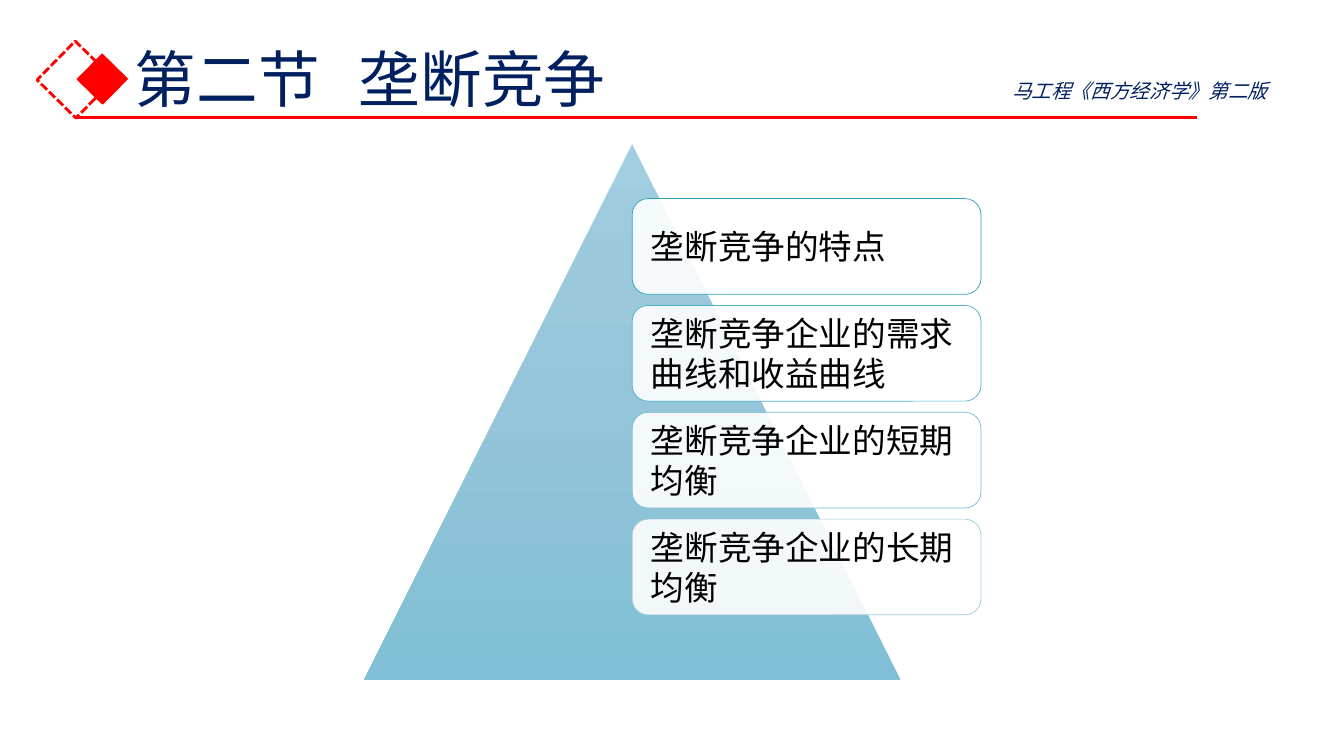
from copy import deepcopy

from lxml import etree
from pptx import Presentation
from pptx.dml.color import RGBColor
from pptx.enum.dml import MSO_LINE
from pptx.enum.shapes import MSO_CONNECTOR, MSO_SHAPE
from pptx.enum.text import MSO_ANCHOR, PP_ALIGN
from pptx.oxml.ns import qn
from pptx.util import Inches, Pt

FONT = "Noto Sans CJK SC"
NAVY, RED, BLACK, WHITE = "002060", "FF0000", "000000", "FFFFFF"
TRIANGLE = MSO_SHAPE.ISOSCELES_TRIANGLE
ROUNDED = MSO_SHAPE.ROUNDED_RECTANGLE
SQUARE = MSO_SHAPE.RECTANGLE
STRAIGHT = MSO_CONNECTOR.STRAIGHT
SHORT_DASH = MSO_LINE.SQUARE_DOT
MIDDLE, LEFT = MSO_ANCHOR.MIDDLE, PP_ALIGN.LEFT

TOPICS = [
    ("垄断竞争的特点", "319FBB"),
    ("垄断竞争企业的需求曲线和收益曲线", "4FB0CD"),
    ("垄断竞争企业的短期均衡", "76BDD5"),
    ("垄断竞争企业的长期均衡", "9CCCDE"),
]
CARD_TOP, CARD_PITCH = 1.97, 1.06


def rgb(value):
    return RGBColor.from_string(value)


def write(frame, text, size, color):
    """Fill the frame's first paragraph, setting Latin and East Asian fonts."""
    frame.word_wrap = True
    para = frame.paragraphs[0]
    para.text = text
    para.alignment = LEFT
    para.font.size = Pt(size)
    para.font.color.rgb = rgb(color)
    para.font.name = FONT
    defaults = para._p.pPr.find(qn("a:defRPr"))
    etree.SubElement(defaults, qn("a:ea"), typeface=FONT)
    return para


def add_text(page, box, text, size, color):
    frame = page.shapes.add_textbox(*map(Inches, box)).text_frame
    frame.vertical_anchor = MIDDLE
    return write(frame, text, size, color)


def add_shape(page, kind, box, line=None, width=1):
    shape = page.shapes.add_shape(kind, *map(Inches, box))
    shape.shadow.inherit = False
    if line:
        shape.line.color.rgb = rgb(line)
        shape.line.width = Pt(width)
    else:
        shape.line.fill.background()
    return shape


def fill_solid(shape, color, opacity=100):
    shape.fill.solid()
    shape.fill.fore_color.rgb = rgb(color)
    if opacity < 100:
        solid = shape._element.spPr.find(qn("a:solidFill"))
        etree.SubElement(solid[0], qn("a:alpha"), val=str(opacity * 1000))


def fill_gradient(shape, top, middle, bottom):
    shape.fill.gradient()
    shape.fill.gradient_angle = 270
    stops = next(shape._element.spPr.iter(qn("a:gsLst")))
    stops.insert(1, deepcopy(stops[0]))
    colors = (top, middle, bottom)
    for stop, color, position in zip(shape.fill.gradient_stops, colors, (0, 0.5, 1)):
        stop.color.rgb = rgb(color)
        stop.position = position


def add_rule(page, start, end, color, width):
    rule = page.shapes.add_connector(STRAIGHT, *map(Inches, (*start, *end)))
    rule.line.color.rgb = rgb(color)
    rule.line.width = Pt(width)
    etree.SubElement(rule._element.spPr, qn("a:effectLst"))


def add_title(page, text, tab):
    """Write the title, with its second part starting at the tab stop."""
    para = add_text(page, (1.24, 0.09, 5.82, 1.45), "", 44, NAVY)
    properties = para._p.pPr
    tabs = etree.Element(qn("a:tabLst"))
    etree.SubElement(tabs, qn("a:tab"), pos=str(Inches(tab)), algn="l")
    properties.find(qn("a:defRPr")).addprevious(tabs)
    para.text = text
    para.line_spacing = 0.9


def add_emblem(page):
    outline = add_shape(page, SQUARE, (0.48, 0.52, 0.54, 0.54), RED, 2)
    outline.fill.background()
    outline.line.dash_style = SHORT_DASH
    core = add_shape(page, SQUARE, (0.84, 0.61, 0.35, 0.35), RED)
    fill_solid(core, RED)
    for diamond in (outline, core):
        diamond.rotation = 314.5


def add_card(page, top, text, border):
    card = add_shape(page, ROUNDED, (6.27, top, 3.46, 0.95), border, 0.5)
    fill_solid(card, WHITE, 90)
    frame = card.text_frame
    frame.margin_left = frame.margin_right = Inches(0.14)
    frame.vertical_anchor = MIDDLE
    write(frame, text, 24, BLACK)


def main():
    deck = Presentation()
    deck.slide_width, deck.slide_height = Inches(13.33), Inches(7.5)
    page = deck.slides.add_slide(deck.slide_layouts[6])

    edition = add_text(page, (9.94, 0.73, 3.24, 0.34), "马工程《西方经济学》第二版", 14, NAVY)
    edition.font.italic = True
    add_title(page, "第二节\t垄断竞争", 2.22)

    pyramid = add_shape(page, TRIANGLE, (3.61, 1.43, 5.32, 5.32))
    fill_gradient(pyramid, "A1CEE0", "94C5D8", "80BFD6")
    for index, (text, border) in enumerate(TOPICS):
        add_card(page, CARD_TOP + index * CARD_PITCH, text, border)

    add_emblem(page)
    add_rule(page, (0.75, 1.17), (11.87, 1.17), RED, 2.25)
    deck.save("out.pptx")


if __name__ == "__main__":
    main()
